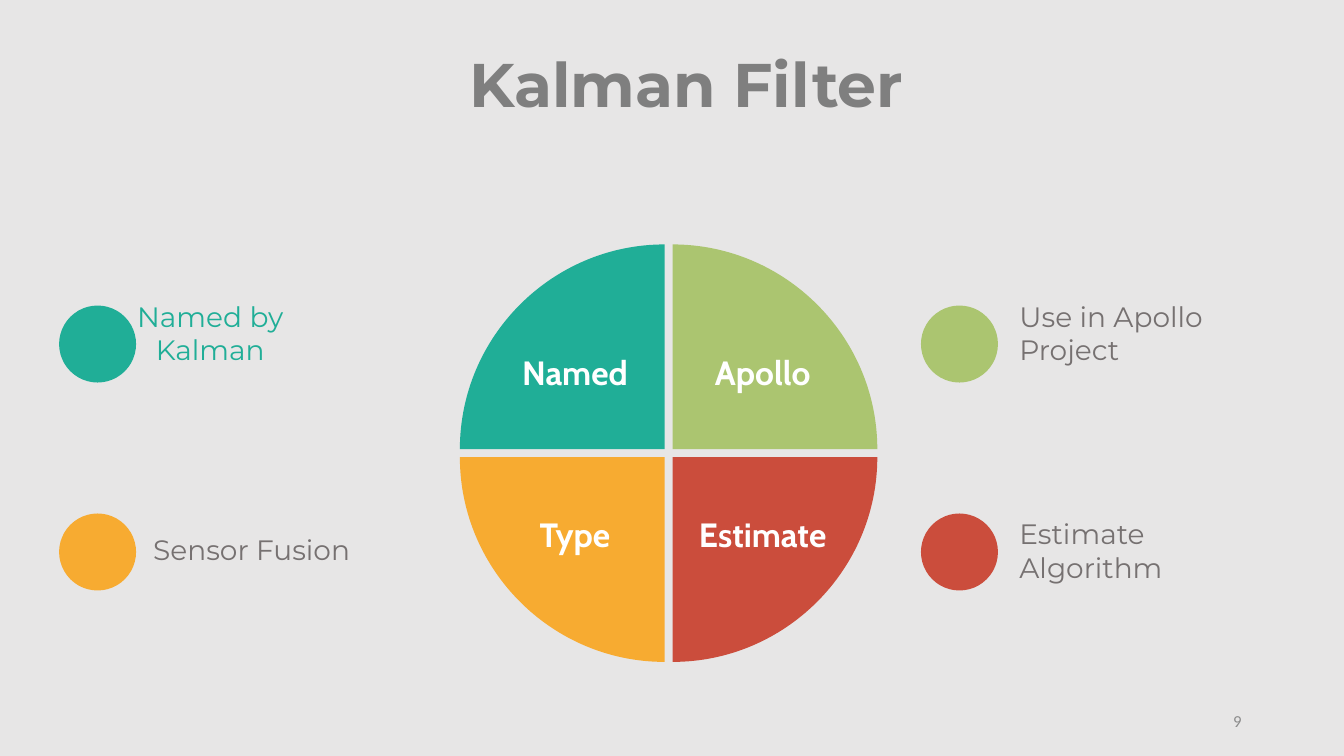
from dataclasses import dataclass

from lxml import etree
from pptx import Presentation
from pptx.dml.color import RGBColor
from pptx.enum.shapes import MSO_SHAPE
from pptx.enum.text import MSO_ANCHOR, MSO_AUTO_SIZE, PP_ALIGN
from pptx.oxml.ns import qn
from pptx.shapes.autoshape import Shape
from pptx.shapes.shapetree import GroupShapes, SlideShapes
from pptx.slide import Slide
from pptx.util import Cm, Pt

LEFT, CENTER, RIGHT = PP_ALIGN.LEFT, PP_ALIGN.CENTER, PP_ALIGN.RIGHT
TOP, MIDDLE = MSO_ANCHOR.TOP, MSO_ANCHOR.MIDDLE
GROW, FIXED = MSO_AUTO_SIZE.SHAPE_TO_FIT_TEXT, MSO_AUTO_SIZE.NONE
OVAL = MSO_SHAPE.OVAL

TEAL, GREEN, AMBER, RED = "20AE97", "ABC570", "F7AB31", "CB4D3C"
WHITE, GRAY = "FFFFFF", "767171"
HUB_X, HUB_Y = 16.85, 11.42
GAP, RADIUS, BEND = 0.1, 5.16, 0.55
DOT = 1.94


@dataclass(frozen=True)
class Style:
    font: str
    size: int
    color: str
    bold: bool = False
    align: PP_ALIGN = LEFT
    anchor: MSO_ANCHOR = TOP
    fit: MSO_AUTO_SIZE = GROW


@dataclass(frozen=True)
class Label:
    text: str
    left: float
    top: float
    width: float
    height: float
    style: Style


@dataclass(frozen=True)
class Quarter:
    name: str
    color: str
    col: int
    row: int


WEDGE = Style("Cabin", 24, WHITE, True, CENTER)
NOTE = Style("Montserrat", 20, GRAY)
NAMED = Style("Montserrat", 20, TEAL, align=CENTER)
TITLE = Style("Montserrat", 44, "7F7F7F", True, CENTER)
PAGE = Style("Calibri", 12, "8C8C8C", False, RIGHT, MIDDLE, FIXED)

QUARTERS = [
    Quarter("Named", TEAL, 0, 0),
    Quarter("Apollo", GREEN, 1, 0),
    Quarter("Type", AMBER, 0, 1),
    Quarter("Estimate", RED, 1, 1),
]

LABELS = [
    Label("9", 23.92, 17.65, 7.62, 1.02, PAGE),
    Label("Named by\nKalman", 3.2, 7.41, 4.2, 2.82, NAMED),
    Label("Sensor Fusion", 3.61, 13.3, 5.69, 1.12, NOTE),
    Label("Use in Apollo Project", 25.44, 7.41, 5.69, 1.96, NOTE),
    Label("Estimate Algorithm", 25.44, 12.89, 5.69, 1.96, NOTE),
    Label("Kalman Filter ", 7.32, 1.04, 20.4, 2.13, TITLE),
]


def rgb(code: str) -> RGBColor:
    return RGBColor.from_string(code)


def paint(shape: Shape, color: str) -> None:
    shape.shadow.inherit = False
    shape.fill.solid()
    shape.fill.fore_color.rgb = rgb(color)
    shape.line.fill.background()


def write(shapes: SlideShapes | GroupShapes, label: Label) -> None:
    box = shapes.add_textbox(
        Cm(label.left), Cm(label.top), Cm(label.width), Cm(label.height)
    )
    style, frame = label.style, box.text_frame
    frame.word_wrap = True
    frame.auto_size = style.fit
    frame.vertical_anchor = style.anchor
    frame.text = label.text
    for para in frame.paragraphs:
        para.alignment = style.align
        para.font.name = style.font
        para.font.size = Pt(style.size)
        para.font.bold = style.bold
        para.font.color.rgb = rgb(style.color)


def curve(shape: Shape) -> None:
    lines = list(shape.element.iter(qn("a:lnTo")))[1:4]
    bend = etree.Element(qn("a:cubicBezTo"))
    lines[0].addprevious(bend)
    for line in lines:
        bend.append(line[0])
        line.getparent().remove(line)


def draw(slide: Slide, part: Quarter) -> None:
    across, down = 2 * part.col - 1, 2 * part.row - 1
    x, y = HUB_X + across * GAP, HUB_Y + down * GAP
    steps = [(1, 0), (1, BEND), (BEND, 1), (0, 1)]
    points = [
        (Cm(x + across * RADIUS * i), Cm(y + down * RADIUS * j))
        for i, j in steps
    ]
    shapes = slide.shapes.add_group_shape().shapes
    outline = shapes.build_freeform(Cm(x), Cm(y))
    outline.add_line_segments(points, close=True)
    wedge = outline.convert_to_shape()
    curve(wedge)
    paint(wedge, part.color)
    left, top = 11.86 + 4.73 * part.col, 8.74 + 4.09 * part.row
    write(shapes, Label(part.name, left, top, 5.26, 1.28, WEDGE))


def mark(slide: Slide, part: Quarter) -> None:
    left, top = 1.49 + 21.72 * part.col, 7.7 + 5.24 * part.row
    dot = slide.shapes.add_shape(OVAL, Cm(left), Cm(top), Cm(DOT), Cm(DOT))
    paint(dot, part.color)


def main() -> None:
    deck = Presentation()
    deck.slide_width, deck.slide_height = Cm(33.87), Cm(19.05)
    slide = deck.slides.add_slide(deck.slide_layouts[6])
    slide.background.fill.solid()
    slide.background.fill.fore_color.rgb = rgb("E7E6E6")
    for part in QUARTERS:
        draw(slide, part)
    for part in sorted(QUARTERS, key=lambda part: part.col):
        mark(slide, part)
    for label in LABELS:
        write(slide.shapes, label)
    deck.save("out.pptx")


if __name__ == "__main__":
    main()
